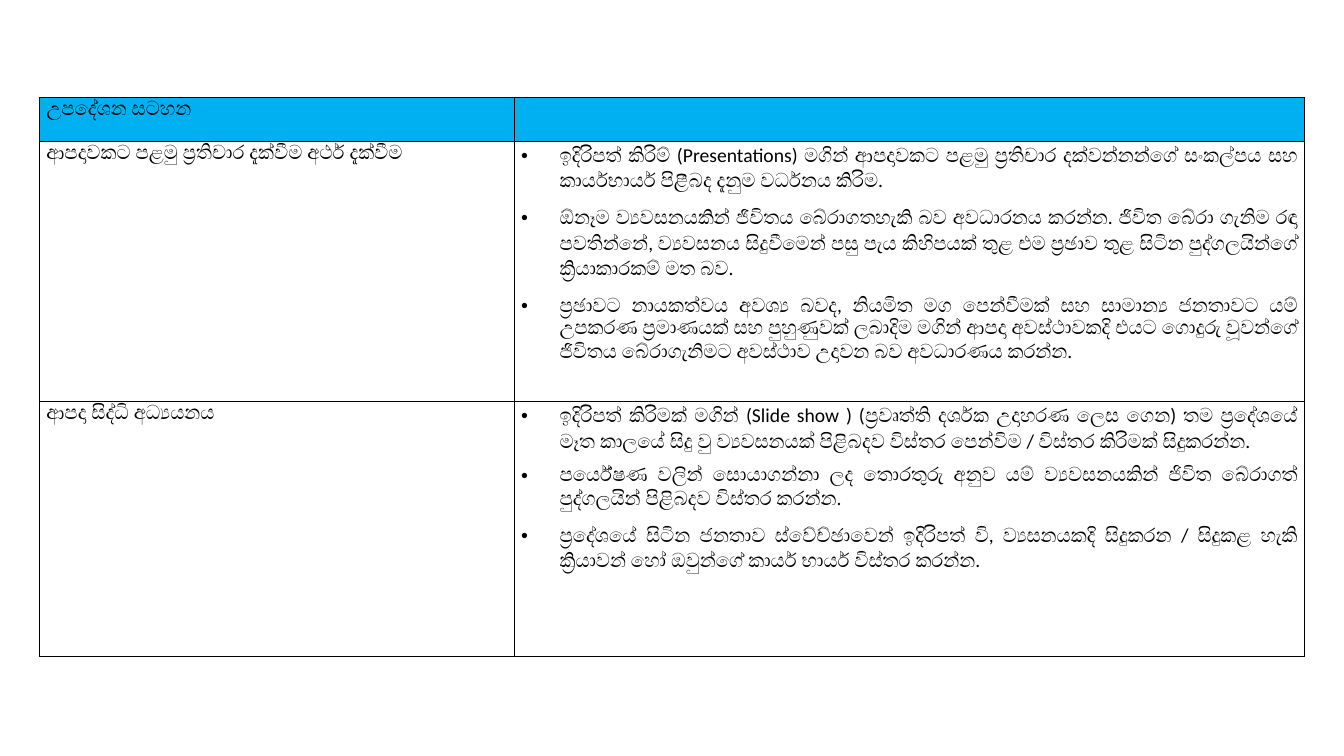
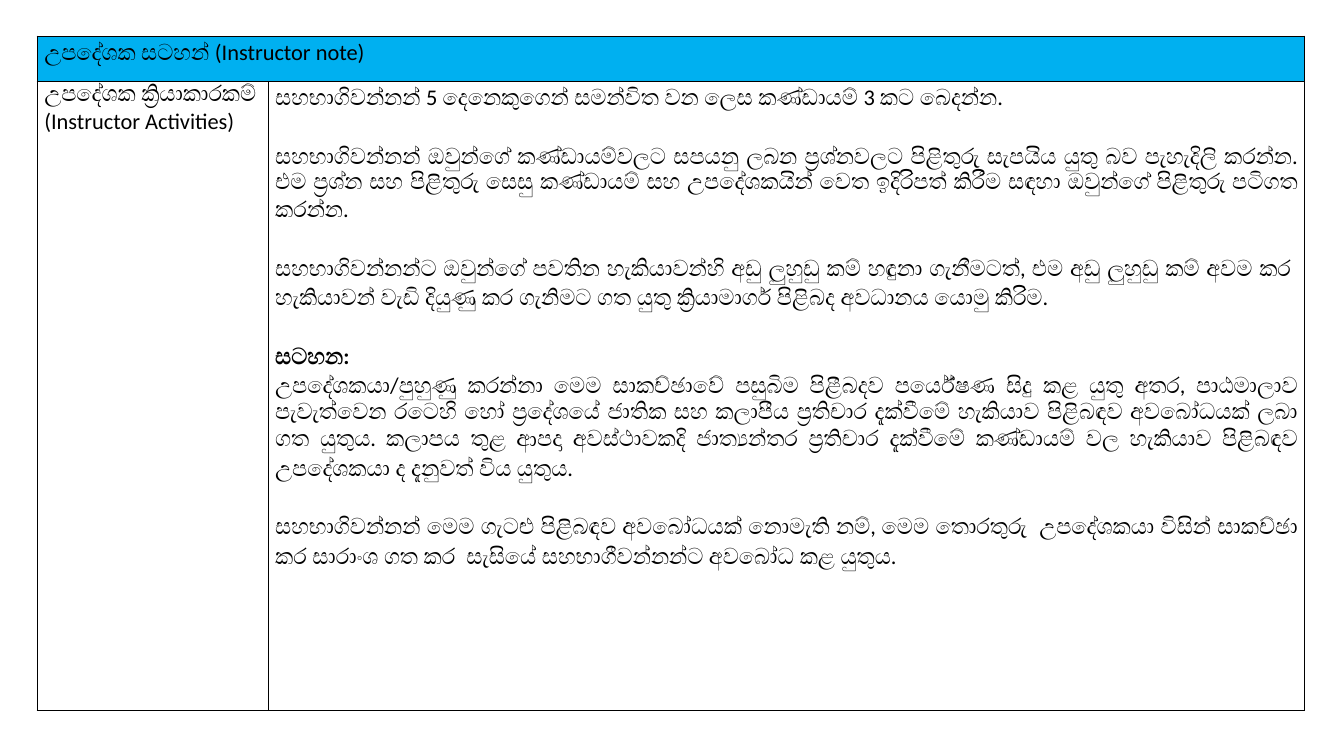
import pptx
import pptx.dml.color
import pptx.enum.text
import pptx.oxml
import pptx.oxml.ns
import pptx.util

INCH = pptx.util.Inches
PT = pptx.util.Pt
ALIGN = pptx.enum.text.PP_ALIGN
FONT, INK, BAND = "Calibri", "000000", "00B0F0"
NOTE = "සටහන:"
JOIN = chr(8205)


def color(text):
    return pptx.dml.color.RGBColor.from_string(text)


def element(xml):
    """Parse one drawing element given without its namespace."""
    space = pptx.oxml.ns.nsdecls("a")
    head, rest = xml.split(" ", 1)
    return pptx.oxml.parse_xml(f"{head} {space} {rest}")


# A cell is a list of blocks, and a block is a list of lines.
# The gap in points stands between blocks.
tables = [
    {
        "at": (0.39, 0.97), "cols": (4.71, 7.84), "rows": (0.43, 2.58, 2.53),
        "size": 14, "gap": 8, "bullets": True, "merge": False,
        "cells": [
            [[["උපදේශන සටහන"]], []],
            [[["ආපදාවකට පළමු ප්රතිචාර දැක්වීම අර්ථ දැක්වීම"]], [
                ["ඉදිරිපත් කිරිම් (Presentations) මගින් ආපදාවකට පළමු ප්රතිචාර "
                 "දක්වන්නන්ගේ සංකල්පය සහ කාර්යභාර්ය පිළීබද දැනුම වර්ධනය කිරිම."],
                ["ඕනෑම ව්යවසනයකින් ජිවිතය බේරාගතහැකි බව අවධාරනය කරන්න. "
                 "ජිවිත බේරා ගැනිම රඳා පවතින්නේ, ව්යවසනය සිදුවීමෙන් පසු පැය "
                 "කිහිපයක් තුළ එම ප්රඡාව තුළ සිටින පුද්ගලයින්ගේ ක්රියාකාරකම් මත බව."],
                ["ප්රඡාවට නායකත්වය අවශ්ය බවද, නියමිත මග පෙන්වීමක් සහ සාමාන්ය "
                 "ජනතාවට යම් උපකරණ ප්රමාණයක් සහ පුහුණුවක් ලබාදිම මගින් ආපදා "
                 "අවස්ථාවකදි එයට ගොදුරු වූවන්ගේ ජිවිතය බේරාගැනිමට අවස්ථාව "
                 "උදාවන බව අවධාරණය කරන්න."],
            ]],
            [[["ආපදා සිද්ධි අධ්යයනය"]], [
                ["ඉදිරිපත් කිරිමක් මගින් (Slide show ) (ප්රවෘත්ති දර්ශක උදාහරණ ලෙස "
                 "ගෙන) තම ප්රදේශයේ මෑත කාලයේ සිදු වු ව්යවසනයක් පිළිබදව විස්තර "
                 "පෙන්විම / විස්තර කිරිමක් සිදුකරන්න."],
                ["පර්යේෂණ වලින් සොයාගන්නා ලද තොරතුරු අනුව යම් ව්යවසනයකින් "
                 "ජිවිත බේරාගත් පුද්ගලයින් පිළිබදව විස්තර කරන්න."],
                ["ප්රදේශයේ සිටින ජනතාව ස්වේච්ඡාවෙන් ඉදිරිපත් වි, ව්යසනයකදි "
                 "සිදුකරන / සිදුකළ හැකි ක්රියාවන් හෝ ඔවුන්ගේ කාර්ය භාර්ය විස්තර කරන්න."],
            ]],
        ],
    },
    {
        "at": (0.37, 0.36), "cols": (2.29, 10.28), "rows": (0.45, 6.24),
        "size": 16, "gap": 21, "bullets": False, "merge": True,
        "cells": [
            [[["උපදේශක සටහන් (Instructor note)"]], []],
            [[["උපදේශක ක්රියාකාරකම්", "(Instructor Activities)"]], [
                ["සහභාගිවන්නන් 5 දෙනෙකුගෙන් සමන්විත වන ලෙස කණ්ඩායම් 3 කට බෙදන්න."],
                ["සහභාගිවන්නන් ඔවුන්ගේ කණ්ඩායම්වලට සපයනු ලබන ප්රශ්නවලට "
                 "පිළිතුරු සැපයිය යුතු බව පැහැදිලි කරන්න. එම ප්රශ්න සහ පිළිතුරු සෙසු "
                 "කණ්ඩායම් සහ උපදේශකයින් වෙත ඉදිරිපත් කිරීම සඳහා ඔවුන්ගේ "
                 "පිළිතුරු පටිගත කරන්න."],
                ["සහභාගිවන්නන්ට ඔවුන්ගේ පවතින හැකියාවන්හි අඩු ලුහුඩු කම් හඳුනා "
                 "ගැනීමටත්, එම අඩු ලුහුඩු කම් අවම කර  හැකියාවන් වැඩි දියුණු කර "
                 "ගැනිමට ගත යුතු ක්රියාමාර්ග පිළිබද අවධානය යොමු කිරිම."],
                [NOTE,
                 "උපදේශකයා/පුහුණු කරන්නා මෙම සාකච්ඡාවේ පසුබිම පිළීබදව පර්යේෂණ "
                 "සිදු කළ යුතු අතර, පාඨමාලාව පැවැත්වෙන රටෙහි හෝ ප්රදේශයේ ජාතික "
                 "සහ කලාපීය ප්රතිචාර දැක්වීමේ හැකියාව පිළිබඳව අවබෝධයක් ලබා ගත "
                 "යුතුය. කලාපය තුළ ආපදා අවස්ථාවකදි ජාත්යන්තර ප්රතිචාර දැක්වීමේ "
                 "කණ්ඩායම් වල හැකියාව පිළිබඳව උපදේශකයා ද දැනුවත් විය යුතුය."],
                ["සහභාගිවන්නන් මෙම ගැටළු පිළිබඳව අවබෝධයක් නොමැති නම්, මෙම "
                 "තොරතුරු  උපදේශකයා විසින් සාකච්ඡා කර සාරාංශ ගත කර  සැසියේ "
                 "සහභාගීවන්නන්ට අවබෝධ කළ යුතුය."],
            ]],
        ],
    },
]

deck = pptx.Presentation()
deck.slide_width, deck.slide_height = INCH(13.33), INCH(7.5)
blank = deck.slide_layouts[6]

for plan in tables:
    slide = deck.slides.add_slide(blank)
    cols, rows = plan["cols"], plan["rows"]
    left, top = plan["at"]
    frame = slide.shapes.add_table(
        len(rows), len(cols), INCH(left), INCH(top),
        INCH(sum(cols)), INCH(sum(rows)))
    grid = frame.table
    grid.first_row = grid.horz_banding = False
    for col, width in zip(grid.columns, cols):
        col.width = INCH(width)
    for row, height in zip(grid.rows, rows):
        row.height = INCH(height)
    if plan["merge"]:
        grid.cell(0, 0).merge(grid.cell(0, 1))

    for r, line in enumerate(plan["cells"]):
        for c, blocks in enumerate(line):
            cell = grid.cell(r, c)
            cell.margin_left = cell.margin_right = INCH(0.07)
            cell.margin_top, cell.margin_bottom = INCH(0.01), 0
            props = cell._tc.get_or_add_tcPr()
            for side in "LRTB":
                props.append(element(
                    f'<a:ln{side} w="12700"><a:solidFill><a:srgbClr val="{INK}"/>'
                    f'</a:solidFill></a:ln{side}>'))
            if r == 0:
                cell.fill.solid()
                cell.fill.fore_color.rgb = color(BAND)
            else:
                cell.fill.background()

            para = None
            for b, block in enumerate(blocks):
                for n, words in enumerate(block):
                    text = cell.text_frame
                    para = text.add_paragraph() if para else text.paragraphs[0]
                    if plan["bullets"] and c == 1:
                        style = para._p.get_or_add_pPr()
                        style.set("marL", str(INCH(0.38)))
                        style.set("indent", str(-INCH(0.38)))
                        style.append(element('<a:buFont typeface="Arial"/>'))
                        style.append(element('<a:buChar char="•"/>'))
                    para.alignment = ALIGN.JUSTIFY if c else ALIGN.LEFT
                    para.line_spacing = 1.07
                    if b and n == 0:
                        para.space_before = PT(plan["gap"])
                    run = para.add_run()
                    # Sinhala joins ර and ය to the consonant before, but not ය to ර.
                    joined = words.replace("්ර", "්" + JOIN + "ර")
                    joined = joined.replace("්ය", "්" + JOIN + "ය")
                    run.text = joined.replace("ර්" + JOIN + "ය", "ර්ය")
                    run.font.name, run.font.size = FONT, PT(plan["size"])
                    run.font.color.rgb = color(INK)
                    run.font.bold = words == NOTE

deck.save("out.pptx")
